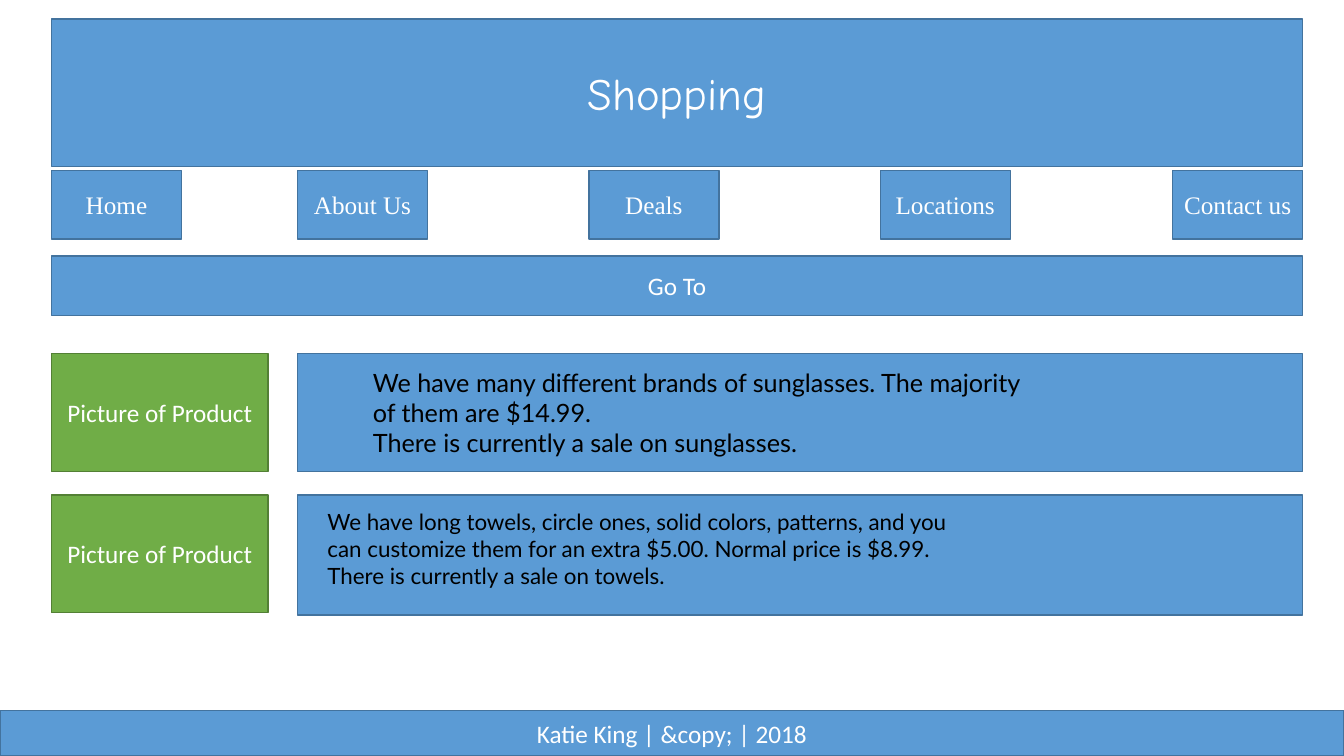
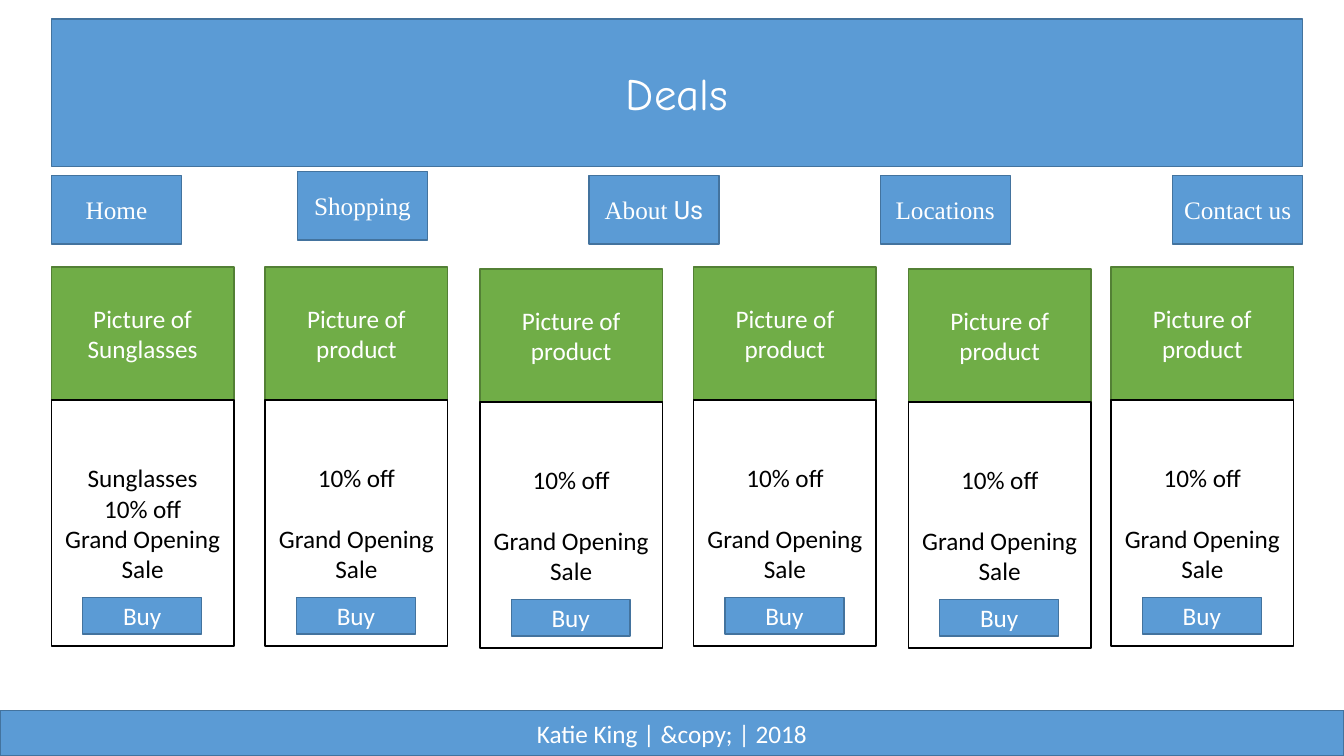
from pptx import Presentation
from pptx.dml.color import RGBColor
from pptx.enum.shapes import MSO_SHAPE
from pptx.enum.text import MSO_ANCHOR, PP_ALIGN
from pptx.util import Inches, Pt

# Each style is fill, outline and text colour.
BLUE = ("5B9BD5", "43739E", "FFFFFF")
GREEN = ("70AD47", "538035", "FFFFFF")
WHITE = ("FFFFFF", "000000", "000000")
BODY_FONT = "Calibri"
TITLE_FONT = "Comic Neue"
MENU_FONT = "Times New Roman"
DETAIL_FONT = "Lato"
LEFT, CONTENT_WIDTH = 0.51, 12.41
SLIDE_WIDTH, SLIDE_HEIGHT = 13.33, 7.5
DETAIL_LEFT = 2.95


def write_text(frame, paragraphs, color, font, size, alignment):
    """Fill a frame; each paragraph is a list of runs, each run (text, font or None)."""
    frame.word_wrap = True
    for index, runs in enumerate(paragraphs):
        paragraph = frame.add_paragraph() if index else frame.paragraphs[0]
        paragraph.alignment = alignment
        for text, run_font in runs:
            run = paragraph.add_run()
            run.text = text
            run.font.name = run_font or font
            run.font.size = Pt(size)
            run.font.color.rgb = RGBColor.from_string(color)


def add_box(shapes, left, top, width, height, style, paragraphs=(), font=BODY_FONT, size=18):
    fill, outline, color = style
    box = shapes.add_shape(MSO_SHAPE.RECTANGLE, Inches(left), Inches(top),
                           Inches(width), Inches(height))
    box.shadow.inherit = False
    box.fill.solid()
    box.fill.fore_color.rgb = RGBColor.from_string(fill)
    box.line.color.rgb = RGBColor.from_string(outline)
    box.line.width = Pt(1)
    box.text_frame.vertical_anchor = MSO_ANCHOR.MIDDLE
    write_text(box.text_frame, paragraphs, color, font, size, PP_ALIGN.CENTER)
    return box


presentation = Presentation()
presentation.slide_width = Inches(SLIDE_WIDTH)
presentation.slide_height = Inches(SLIDE_HEIGHT)

# Title, then menu buttons as (top, runs)
pages = [
    ("Shopping", [
        (1.69, [("Home", None)]),
        (1.69, [("About Us", None)]),
        (1.69, [("Deals", None)]),
        (1.69, [("Locations", None)]),
        (1.69, [("Contact us", None)]),
    ]),
    ("Deals", [
        (1.74, [("Home", None)]),
        (1.70, [("Shopping", None)]),
        (1.74, [("About", None), (" Us", "Roboto")]),
        (1.74, [("Locations", None)]),
        (1.74, [("Contact us", None)]),
    ]),
]
menu_lefts = [LEFT, 2.95, 5.84, 8.73, 11.63]

slides = []
for title, menu in pages:
    slide = presentation.slides.add_slide(presentation.slide_layouts[6])
    slides.append(slide)
    add_box(slide.shapes, LEFT, 0.19, CONTENT_WIDTH, 1.46, BLUE,
            [[(title, None)]], TITLE_FONT, 32)
    add_box(slide.shapes, 0, 7.05, SLIDE_WIDTH, 0.45, BLUE,
            [[("Katie King | &copy; | 2018", None)]])
    menu_group = slide.shapes.add_group_shape().shapes
    for left, (top, runs) in zip(menu_lefts, menu):
        add_box(menu_group, left, top, 1.29, 0.68, BLUE, [runs], MENU_FONT)

shopping_slide, deals_slide = slides

# Shopping: one row per product
add_box(shopping_slide.shapes, LEFT, 2.54, CONTENT_WIDTH, 0.59, BLUE, [[("Go To", None)]])
products = [
    (3.51, 1.17, 3.6, 1.01, 18, [
        "We have many different brands of sunglasses. The majority of them are $14.99.",
        "There is currently a sale on sunglasses.",
    ]),
    (4.91, 1.19, 3.15, 1.18, 16, [
        "We have long towels, circle ones, solid colors, patterns, and you can customize "
        "them for an extra $5.00. Normal price is $8.99.",
        "There is currently a sale on towels.",
    ]),
]
for top, height, text_left, text_height, size, lines in products:
    row = shopping_slide.shapes.add_group_shape().shapes
    add_box(row, DETAIL_LEFT, top, LEFT + CONTENT_WIDTH - DETAIL_LEFT, height, BLUE)
    add_box(row, LEFT, top, 2.15, 1.17, GREEN, [[("Picture of Product", None)]])
    details = row.add_textbox(Inches(text_left), Inches(top + 0.08),
                              Inches(6.67), Inches(text_height))
    write_text(details.text_frame, [[(line, None)] for line in lines],
               "000000", DETAIL_FONT, size, PP_ALIGN.LEFT)

# Deals: one card per product, as (left, drop below the row)
cards = [(LEFT, 0), (2.63, 0), (4.76, 0.02), (6.88, 0), (9.01, 0.02), (11.02, 0)]
for index, (left, drop) in enumerate(cards):
    product = "product" if index else "Sunglasses"
    offer = ["10% off", "Grand Opening Sale"]
    if index == 0:
        offer.insert(0, product)
    card = deals_slide.shapes.add_group_shape().shapes
    add_box(card, left, 2.65 + drop, 1.81, 1.32, GREEN, [[(f"Picture of {product}", None)]])
    offer_box = add_box(card, left, 3.97 + drop, 1.81, 2.44, WHITE,
                        [[(line, None)] for line in offer])
    if index:
        offer_box.text_frame.paragraphs[0].space_after = Pt(22)
    add_box(card, left + 0.31, 5.93 + drop, 1.18, 0.36, BLUE, [[("Buy", None)]])

presentation.save("out.pptx")
